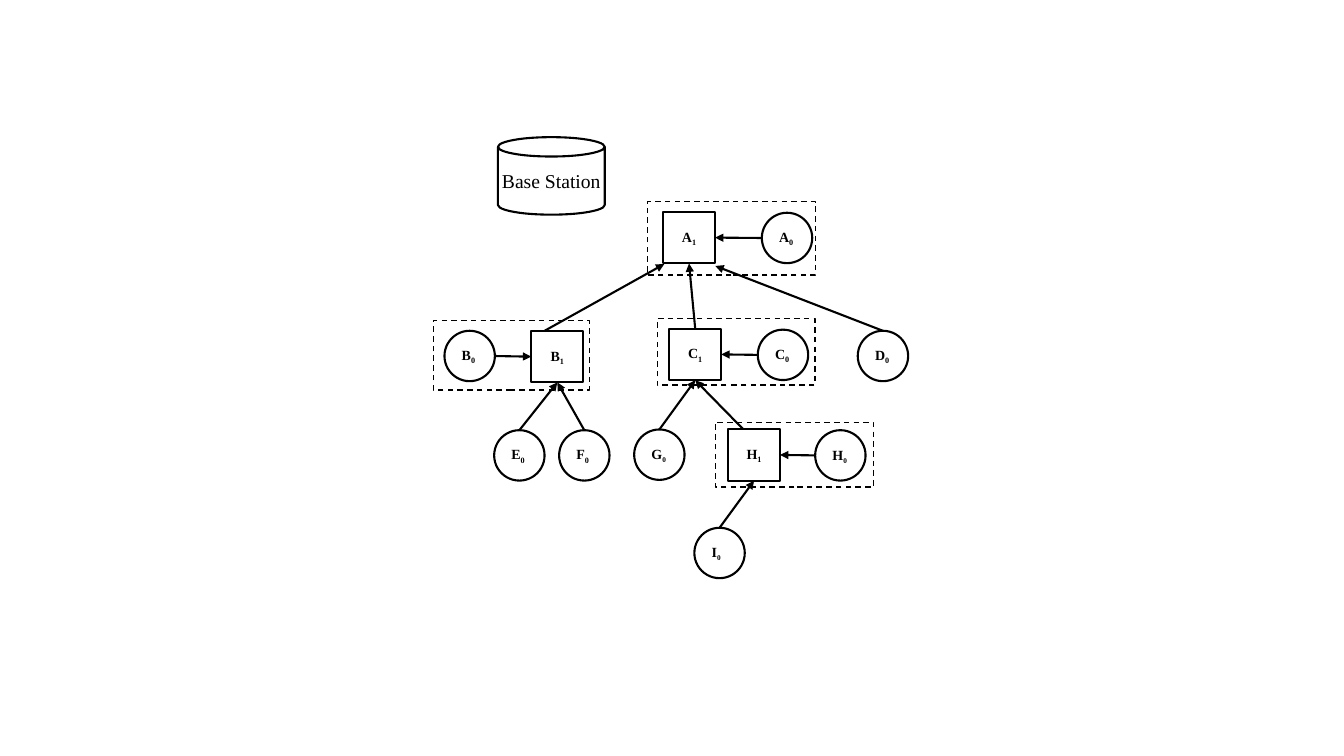
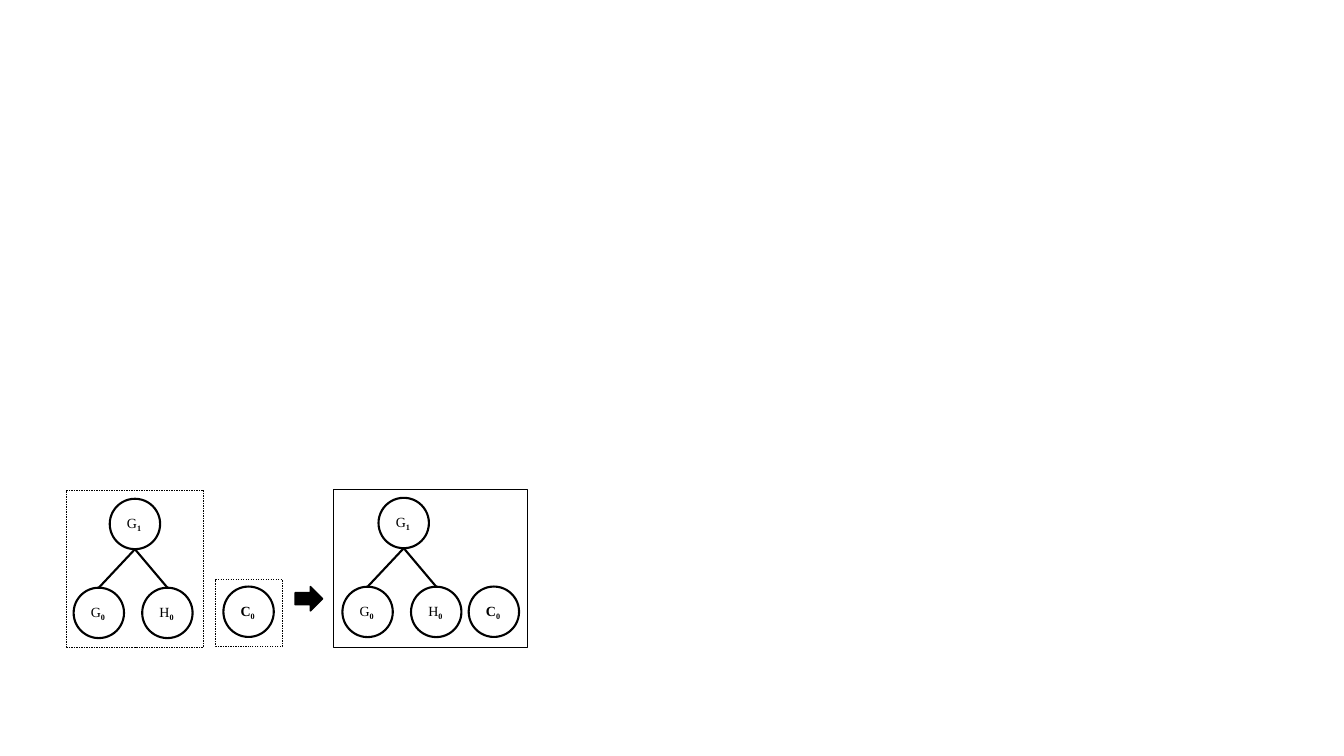
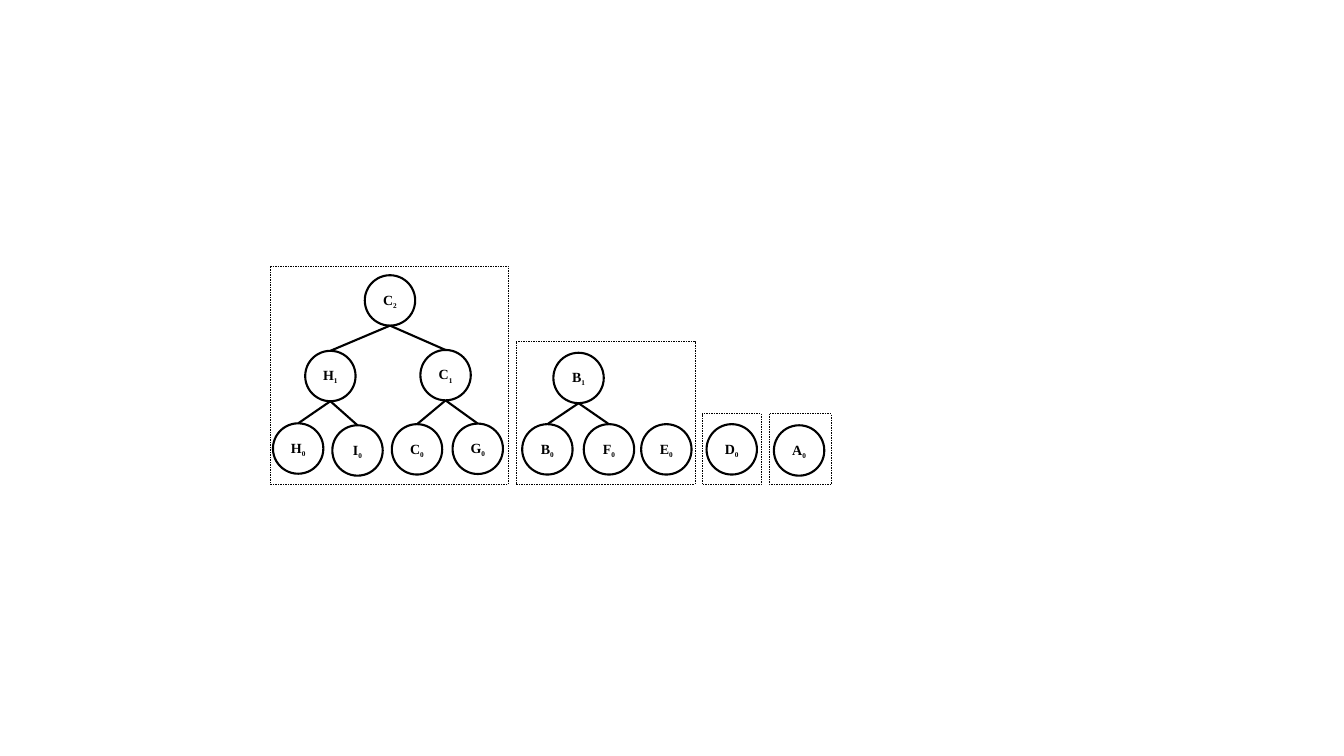
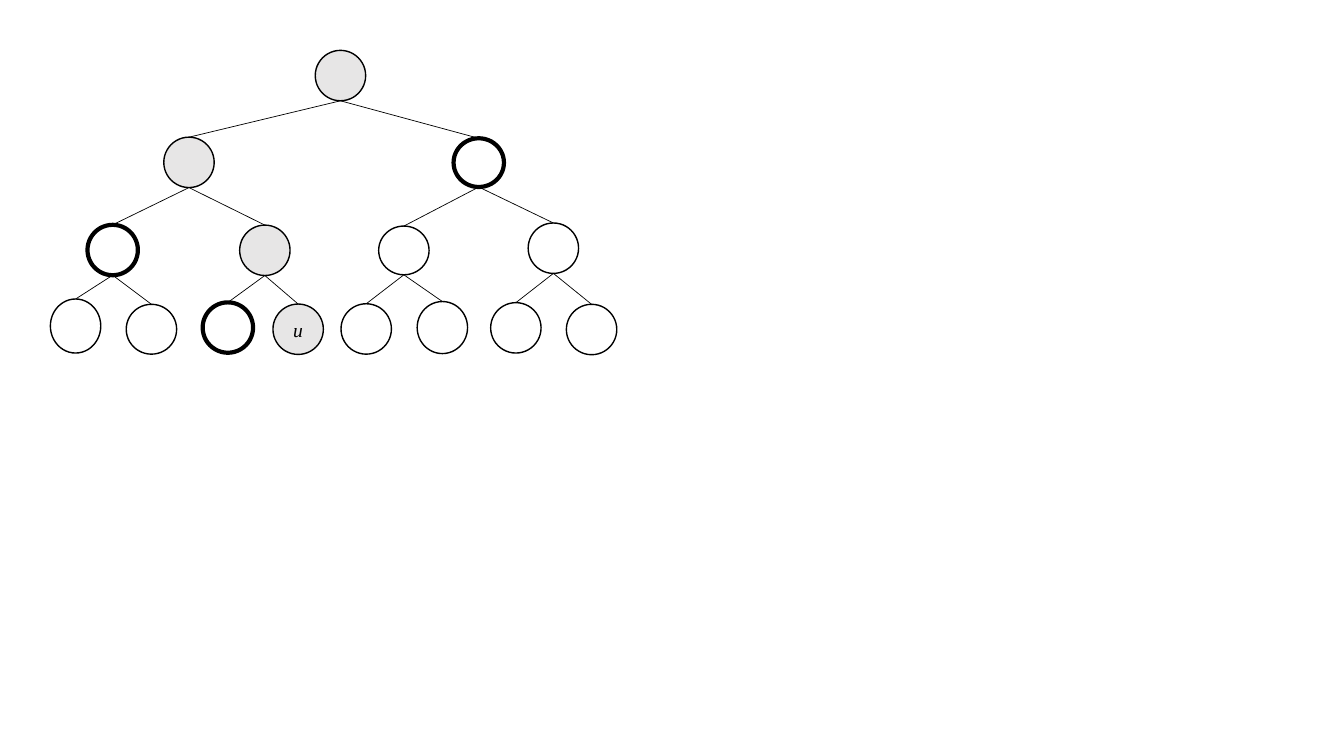
"""Build four slides of node trees for a sensor network."""
from pptx import Presentation
from pptx.dml.color import RGBColor
from pptx.enum.dml import MSO_LINE
from pptx.enum.shapes import MSO_CONNECTOR, MSO_SHAPE as SHAPE
from pptx.enum.text import MSO_ANCHOR, PP_ALIGN
from pptx.oxml.ns import qn
from pptx.util import Pt
from lxml import etree

COLORS = {"ink": "000000", "paper": "FFFFFF", "visited": "E7E6E6"}
FONT = "Times New Roman"
NODE = 36
TOP, LEFT, BOTTOM, RIGHT = range(4)


def add_box(slide, kind, box, weight=1.5, fill=None, dashed=False, label="",
            size=10, digit_size=10, bold=True, italic=False, centered=True):
    shape = slide.shapes.add_shape(kind, *[Pt(value) for value in box])
    shape.shadow.inherit = False
    if fill:
        shape.fill.solid()
        shape.fill.fore_color.rgb = RGBColor.from_string(COLORS[fill])
    else:
        shape.fill.background()
    shape.line.color.rgb = RGBColor.from_string(COLORS["ink"])
    shape.line.width = Pt(weight)
    if dashed:
        shape.line.dash_style = MSO_LINE.DASH
    if label:
        text_frame = shape.text_frame
        text_frame.word_wrap = True
        text_frame.vertical_anchor = MSO_ANCHOR.MIDDLE
        text_frame.margin_left = Pt(0 if centered else 7.2)
        text_frame.margin_right = Pt(0)
        letters = label.rstrip("012")
        digit = label[len(letters):]
        text_frame.text = letters
        paragraph = text_frame.paragraphs[0]
        paragraph.alignment = PP_ALIGN.CENTER if centered else PP_ALIGN.LEFT
        if digit:
            subscript = paragraph.add_run()
            subscript.text = digit
            subscript._r.get_or_add_rPr().set("baseline", "-25000")
        for run in paragraph.runs:
            run.font.name = FONT
            run.font.size = Pt(size)
            run.font.bold = bold
            run.font.italic = italic
            run.font.color.rgb = RGBColor.from_string(COLORS["ink"])
        if digit:
            subscript.font.size = Pt(digit_size)
            subscript.font.bold = True
    return shape


def add_link(slide, begin, end, weight=1.5, arrow=False):
    connector = slide.shapes.add_connector(MSO_CONNECTOR.STRAIGHT, 0, 0, 0, 0)
    if isinstance(begin[0], int):
        connector.begin_x, connector.begin_y = begin
    else:
        connector.begin_connect(*begin)
    if isinstance(end[0], int):
        connector.end_x, connector.end_y = end
    else:
        connector.end_connect(*end)
    connector.line.color.rgb = RGBColor.from_string(COLORS["ink"])
    connector.line.width = Pt(weight)
    if arrow:
        etree.SubElement(connector.line._get_or_add_ln(), qn("a:tailEnd"), type="triangle")
    etree.SubElement(connector._element.spPr, qn("a:effectLst"))


presentation = Presentation()
presentation.slide_width = Pt(960)
presentation.slide_height = Pt(540)
blank = presentation.slide_layouts[6]
network, merge, forest, path_tree = [presentation.slides.add_slide(blank) for _ in range(4)]

nodes = {}
for label, left, top in [("A1", 473.6, 151.3), ("B1", 379.5, 236.3),
                         ("C1", 478, 234.7), ("H1", 520, 306.5)]:
    nodes[label] = add_box(network, SHAPE.RECTANGLE, (left, top, 37.2, 36.9), label=label)
for label, left, top, digit_size in [
        ("A0", 544.2, 152, 10), ("B0", 317.5, 236.3, 10), ("C0", 541.3, 235.5, 10),
        ("D0", 612.7, 236.3, 10), ("E0", 353, 307.3, 10), ("F0", 399.4, 307.3, 10),
        ("G0", 453, 306.8, 9), ("H0", 582.3, 307.3, 9), ("I0", 496, 377, 9)]:
    nodes[label] = add_box(network, SHAPE.OVAL, (left, top, NODE, NODE), label=label,
                           digit_size=digit_size, centered=False)
for box in [(462.4, 144, 120.2, 52.4), (309.6, 229, 111.6, 49.5),
            (511, 301.7, 113, 46.2), (469.5, 227.7, 112.6, 47.4)]:
    add_box(network, SHAPE.RECTANGLE, box, 1, dashed=True)
for child, parent in [("C1", "A1"), ("E0", "B1"), ("F0", "B1"), ("G0", "C1"), ("I0", "H1")]:
    add_link(network, (nodes[child], TOP), (nodes[parent], BOTTOM), arrow=True)
for letter, side in [("A", RIGHT), ("B", LEFT), ("C", RIGHT), ("H", RIGHT)]:
    circle = nodes[letter + "0"]
    edge = circle.left + (circle.width if side == LEFT else 0)
    add_link(network, (edge, circle.top + circle.height // 2),
             (nodes[letter + "1"], side), arrow=True)
add_link(network, (Pt(389), Pt(236.3)), (Pt(474.5), Pt(188.6)), arrow=True)
add_link(network, (nodes["D0"], TOP), (Pt(511), Pt(190)), arrow=True)
add_link(network, (Pt(530.6), Pt(306.3)), (nodes["C1"], BOTTOM), arrow=True)
add_box(network, SHAPE.CAN, (355.7, 98, 76.3, 55.4), label="Base Station", size=14, bold=False)

for left, top in [(52.6, 356.3), (244.6, 355.6)]:
    parent, *children = [
        add_box(merge, SHAPE.OVAL, (left + across, top + down, NODE, NODE),
                label=label, bold=False, centered=False)
        for label, across, down in [("G1", 25.8, 0), ("G0", 0, 63.5), ("H0", 49, 63.5)]]
    for child in children:
        add_link(merge, (child, TOP), (parent.left + parent.width // 2, parent.top + parent.height))
for left in (159.6, 334.8):
    add_box(merge, SHAPE.OVAL, (left, 419, NODE, NODE), label="C0", centered=False)
add_box(merge, SHAPE.RIGHT_ARROW, (210.8, 419, 19.6, 17.4), 1, "ink")
for box, dashed in [((238.2, 349.5, 138.4, 112.6), False), ((47.6, 350, 97.9, 112), True),
                    ((154, 414, 47.8, 47.6), True)]:
    add_box(merge, SHAPE.RECTANGLE, box, 0.25, dashed=dashed)

forest_nodes = [
    ("C2", 260.6, 196.6, None), ("H1", 218, 250.6, 0), ("C1", 300.3, 250, 0),
    ("H0", 195, 302.4, 1), ("I0", 237.4, 303.8, 1), ("C0", 279.9, 303, 2),
    ("G0", 323.3, 302.6, 2), ("B1", 395.3, 252, None), ("B0", 373, 303, 7),
    ("F0", 417, 303, 7), ("E0", 458, 303, None), ("D0", 504.7, 303, None),
    ("A0", 552.8, 303.8, None)]
circles = []
for label, left, top, parent_index in forest_nodes:
    circle = add_box(forest, SHAPE.OVAL, (left, top, NODE, NODE), fill="paper",
                     label=label, digit_size=9)
    if parent_index is not None:
        parent = circles[parent_index]
        add_link(forest, (circle, TOP),
                 (parent.left + parent.width // 2, parent.top + parent.height))
    circles.append(circle)
for left, top, width in [(193, 189.8, 170), (368.4, 244, 127.9),
                         (501.3, 295.4, 42.5), (549.4, 295.4, 44.4)]:
    add_box(forest, SHAPE.RECTANGLE, (left, top, width, 346 - top), 0.25, dashed=True)

heap = [
    (225.2, 36, 36, "visited", 1, ""),
    (117, 98, 36, "visited", 1, ""), (324, 98.8, 34.8, "paper", 3, ""),
    (62.5, 160.6, 36, "paper", 3, ""), (171.2, 160.8, 36, "visited", 1, ""),
    (270.5, 161.5, 34.8, "paper", 1, ""), (377.3, 159.3, 36, "paper", 1, ""),
    (36, 213.6, 38.6, "paper", 1, ""), (90.2, 217.4, 35.6, "paper", 1, ""),
    (144.8, 216, 36, "paper", 3, ""), (195, 217.2, 36, "visited", 1, "u"),
    (243.6, 217, 36, "paper", 1, ""), (298, 215.4, 37.2, "paper", 1, ""),
    (350.5, 216.2, 36, "paper", 1, ""), (404.6, 217.4, 36, "paper", 1, "")]
circles = []
for index, (left, top, height, fill, weight, label) in enumerate(heap):
    circle = add_box(path_tree, SHAPE.OVAL, (left, top, NODE, height), weight, fill,
                     label=label, size=14, bold=False, italic=True)
    if index:
        parent = circles[(index - 1) // 2]
        add_link(path_tree, (circle, TOP),
                 (parent.left + parent.width // 2, parent.top + parent.height), 0.5)
    circles.append(circle)

presentation.save("out.pptx")
